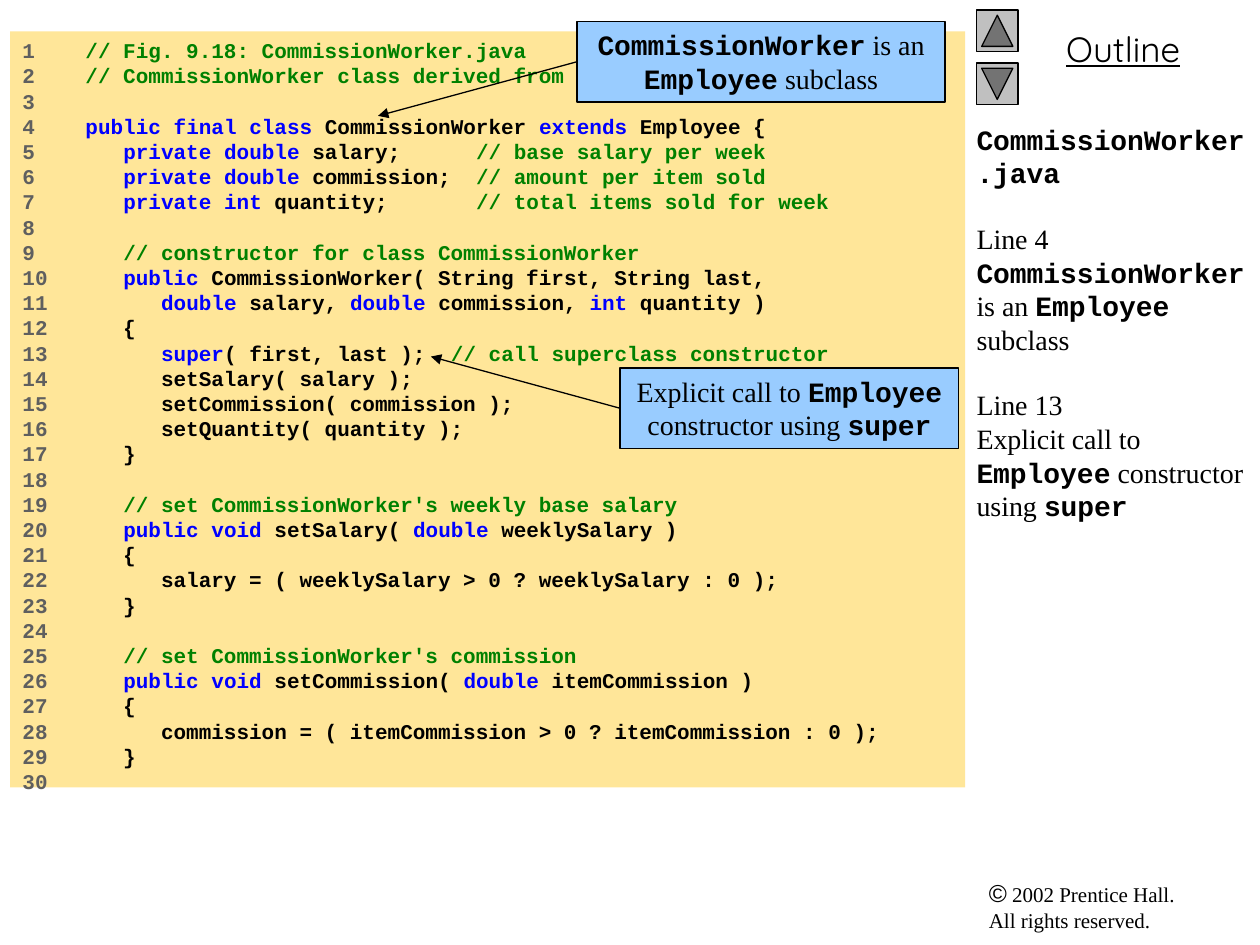
from itertools import groupby

from lxml import etree
from pptx import Presentation
from pptx.dml.color import RGBColor
from pptx.enum.shapes import MSO_CONNECTOR, MSO_SHAPE
from pptx.enum.text import MSO_ANCHOR, PP_ALIGN
from pptx.oxml.ns import qn
from pptx.util import Inches, Pt

RECTANGLE = MSO_SHAPE.RECTANGLE
BACK_BUTTON = MSO_SHAPE.ACTION_BUTTON_BACK_OR_PREVIOUS
STRAIGHT = MSO_CONNECTOR.STRAIGHT
TOP = MSO_ANCHOR.TOP
LEFT, CENTER = PP_ALIGN.LEFT, PP_ALIGN.CENTER
LEFT_SIDE = 1

COLORS = {
    "text": "000000", "number": "5F5F5F", "keyword": "0000FF", "comment": "008000",
    "code": "FFE699", "callout": "99CCFF", "button": "C0C0C0",
}
MONO, SERIF = "Courier New", "Times New Roman"
KEYWORDS = {"public", "private", "final", "class", "extends", "double", "int", "void", "super"}

CODE_LINES = [
    "// Fig. 9.18: CommissionWorker.java",
    "// CommissionWorker class derived from Employee",
    "",
    "public final class CommissionWorker extends Employee {",
    "   private double salary;      // base salary per week",
    "   private double commission;  // amount per item sold",
    "   private int quantity;       // total items sold for week",
    "",
    "   // constructor for class CommissionWorker",
    "   public CommissionWorker( String first, String last,",
    "      double salary, double commission, int quantity )",
    "   {",
    "      super( first, last );  // call superclass constructor",
    "      setSalary( salary );",
    "      setCommission( commission );",
    "      setQuantity( quantity );",
    "   }",
    "",
    "   // set CommissionWorker's weekly base salary",
    "   public void setSalary( double weeklySalary )",
    "   {",
    "      salary = ( weeklySalary > 0 ? weeklySalary : 0 );",
    "   }",
    "",
    "   // set CommissionWorker's commission",
    "   public void setCommission( double itemCommission )",
    "   {",
    "      commission = ( itemCommission > 0 ? itemCommission : 0 );",
    "   }",
    "",
]

# Text between backticks is set in bold monospace; True starts a new section
NOTES = [
    ("`CommissionWorker.java`", False),
    ("Line 4", True),
    ("`CommissionWorker` is an `Employee` subclass", False),
    ("Line 13", True),
    ("Explicit call to `Employee` constructor using `super`", False),
]


def color(name):
    return RGBColor.from_string(COLORS[name])


def add_run(paragraph, text):
    run = paragraph.add_run()
    run.text = text
    return run


def add_rich_text(paragraph, text):
    """Write 16 pt text, with backticked parts in bold monospace."""
    paragraph.font.size = Pt(16)
    paragraph.font.color.rgb = color("text")
    for index, part in enumerate(text.split("`")):
        if part:
            font = add_run(paragraph, part).font
            is_code = index % 2 == 1
            font.name = MONO if is_code else SERIF
            font.bold = is_code


def add_text_box(slide, left, top, width, height):
    box = slide.shapes.add_textbox(Inches(left), Inches(top), Inches(width), Inches(height))
    box.text_frame.word_wrap = True
    return box.text_frame


def add_filled_shape(slide, kind, left, top, width, height, fill, outlined=True):
    shape = slide.shapes.add_shape(
        kind, Inches(left), Inches(top), Inches(width), Inches(height))
    shape.shadow.inherit = False
    shape.fill.solid()
    shape.fill.fore_color.rgb = color(fill)
    if outlined:
        shape.line.color.rgb = color("text")
        shape.line.width = Pt(0.75)
    else:
        shape.line.fill.background()
    shape.text_frame.word_wrap = True
    shape.text_frame.vertical_anchor = TOP
    return shape


def color_code(line):
    """Split a line of code into (colour name, text) parts."""
    statement, slashes, comment = line.partition("//")
    words = ["".join(group) for _, group in groupby(statement, str.isalnum)]
    for name, group in groupby(words, lambda word: "keyword" if word in KEYWORDS else "text"):
        yield name, "".join(group)
    if slashes:
        yield "comment", slashes + comment


def add_code_panel(slide):
    panel = add_filled_shape(slide, RECTANGLE, 0.08, 0.25, 7.58, 6, "code", outlined=False)
    frame = panel.text_frame
    for number, line in enumerate(CODE_LINES, start=1):
        paragraph = frame.paragraphs[0] if number == 1 else frame.add_paragraph()
        paragraph.alignment = LEFT
        paragraph.line_spacing = Pt(14.4)
        paragraph.font.name = MONO
        paragraph.font.size = Pt(12)
        paragraph.font.bold = True
        label = f"{number:<5}" if line else str(number)
        for name, text in [("number", label), *color_code(line)]:
            add_run(paragraph, text).font.color.rgb = color(name)


def add_callout(slide, left, top, width, text, target):
    box = add_filled_shape(slide, RECTANGLE, left, top, width, 0.64, "callout")
    paragraph = box.text_frame.paragraphs[0]
    paragraph.alignment = CENTER
    add_rich_text(paragraph, text)

    x, y = target
    arrow = slide.shapes.add_connector(
        STRAIGHT, Inches(left), Inches(top + 0.32), Inches(x), Inches(y))
    arrow.begin_connect(box, LEFT_SIDE)
    arrow.line.color.rgb = color("text")
    arrow.line.width = Pt(0.75)
    properties = arrow._element.spPr
    etree.SubElement(properties.find(qn("a:ln")), qn("a:tailEnd"), type="triangle")
    etree.SubElement(properties, qn("a:effectLst"))


def add_outline_heading(slide):
    paragraph = add_text_box(slide, 7.83, 0.17, 2.17, 0.44).paragraphs[0]
    paragraph.alignment = CENTER
    paragraph.font.name = "Quicksand"
    paragraph.font.size = Pt(20)
    paragraph.font.underline = True
    paragraph.font.color.rgb = color("text")
    add_run(paragraph, "Outline")


def add_notes_column(slide):
    frame = add_text_box(slide, 7.75, 0.92, 2.25, 6)
    frame.margin_left = 0
    for index, (text, starts_section) in enumerate(NOTES):
        paragraph = frame.add_paragraph() if index else frame.paragraphs[0]
        if starts_section:
            paragraph.space_before = Pt(18.4)
        add_rich_text(paragraph, text)


def add_copyright(slide):
    paragraph = add_text_box(slide, 7.75, 6.92, 2.17, 0.54).paragraphs[0]
    paragraph.font.name = SERIF
    paragraph.font.size = Pt(12)
    paragraph.font.color.rgb = color("text")
    symbol = add_run(paragraph, "©")
    symbol.font.name = "Arial"
    symbol.font.size = Pt(14)
    add_run(paragraph, " 2002 Prentice Hall.")
    paragraph.add_line_break()
    add_run(paragraph, "All rights reserved.")


def main():
    presentation = Presentation()
    presentation.slide_width = Inches(10)
    presentation.slide_height = Inches(7.5)
    slide = presentation.slides.add_slide(presentation.slide_layouts[6])

    # Right column: copyright, heading, up and down buttons, notes
    add_copyright(slide)
    add_outline_heading(slide)
    for top, rotation in [(0.08, 90), (0.5, 270)]:
        button = add_filled_shape(slide, BACK_BUTTON, 7.75, top, 0.33, 0.33, "button")
        button.rotation = rotation
    add_notes_column(slide)

    # Code listing with its callouts
    add_code_panel(slide)
    add_callout(slide, 4.58, 0.17, 2.92,
                "`CommissionWorker` is an `Employee` subclass", (3, 0.92))
    add_callout(slide, 4.92, 2.92, 2.69,
                "Explicit call to `Employee` constructor using `super`", (3.42, 2.83))

    presentation.save("out.pptx")


if __name__ == "__main__":
    main()
